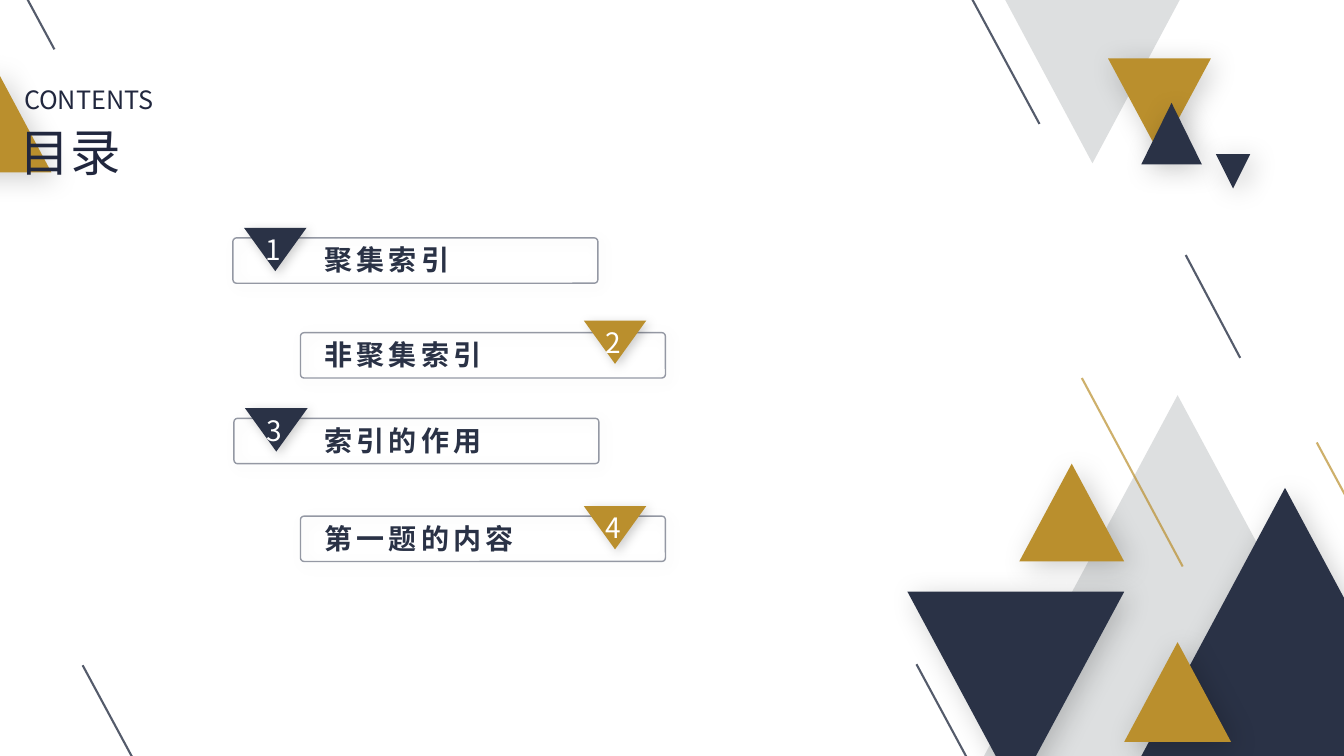
import pptx
import pptx.util
import pptx.dml.color
import pptx.enum.shapes
import pptx.enum.text
import pptx.oxml
import pptx.oxml.ns
import lxml.etree

COLS, ROWS = 1333, 750
FONT = "Noto Sans CJK SC"
NAVY, GOLD, GRAY, INK, EDGE, WHITE = "2A3246", "BA8F2D", "DDDFE0", "21273E", "2C344B", "FFFFFF"

PEAKS = [
    (-60, 67, 111, 104, 0, GOLD),
    (997, 0, 173, 162, 180, GRAY),
    (976, 392, 384, 358, 0, GRAY),
    (1132, 484, 285, 266, 0, NAVY),
    (1011, 460, 104, 97, 0, GOLD),
    (1115, 637, 106, 99, 0, GOLD),
    (1099, 58, 102, 95, 180, GOLD),
    (900, 587, 215, 200, 180, NAVY),
    (1132, 102, 60, 61, 0, NAVY),
    (1206, 153, 34, 34, 180, NAVY),
]
RAYS = [
    (962, -5, 69, 128, NAVY, 80),
    (1073, 375, 100, 187, GOLD, 70),
    (1176, 253, 54, 102, NAVY, 80),
    (1306, 439, 55, 102, GOLD, 70),
    (909, 659, 55, 102, NAVY, 80),
    (82, 660, 55, 102, NAVY, 80),
    (-1, -53, 55, 102, NAVY, 80),
]
HEADS = [("CONTENTS", (14, 79, 183, 40), 18), ("目录", (10, 115, 137, 71), 36)]
ITEMS = [
    ("聚集索引", 231, 236, 10),
    ("非聚集索引", 298, 330, 12),
    ("索引的作用", 232, 415, 10),
    ("第一题的内容", 298, 512, 10),
]
LABEL, BADGE = 312, (62, 43)
INSET = (11, 281)

KIND = pptx.enum.shapes.MSO_SHAPE
ALIGN = pptx.enum.text.PP_ALIGN


def cells(*nums):
    return [pptx.util.Inches(num / 100) for num in nums]


def tint(color, code):
    color.rgb = pptx.dml.color.RGBColor.from_string(code)


def fade(node, share):
    tag = pptx.oxml.ns.qn("a:srgbClr")
    alpha = lxml.etree.SubElement(next(node.iter(tag)), pptx.oxml.ns.qn("a:alpha"))
    alpha.set("val", str(share * 1000))


def stroke(line, code, width, share):
    line.width = pptx.util.Pt(width)
    line.fill.solid()
    tint(line.color, code)
    fade(line._ln, share)


def shade(shape, blur, dist):
    shape.shadow.inherit = False
    glow = shape._element.spPr.find(pptx.oxml.ns.qn("a:effectLst"))
    glow.append(pptx.oxml.parse_xml(
        f'<a:outerShdw {pptx.oxml.ns.nsdecls("a")} blurRad="{blur * 12700}" '
        f'dist="{dist * 12700}" dir="2700000" algn="tl" rotWithShape="0">'
        '<a:srgbClr val="000000"><a:alpha val="20000"/></a:srgbClr></a:outerShdw>'))


def peak(room, spot, turn, code, blur, dist):
    shape = room.add_shape(KIND.ISOSCELES_TRIANGLE, *cells(*spot))
    shape.rotation = turn
    shape.fill.solid()
    tint(shape.fill.fore_color, code)
    shape.line.fill.background()
    if code == GRAY:
        shape.shadow.inherit = False
    else:
        shade(shape, blur, dist)


def write(room, words, spot, size, code, align=None, bold=False, gap=0, wrap=True):
    frame = room.add_textbox(*cells(*spot)).text_frame
    frame.word_wrap = wrap
    frame.auto_size = pptx.enum.text.MSO_AUTO_SIZE.SHAPE_TO_FIT_TEXT
    para = frame.paragraphs[0]
    para.alignment = align
    run = para.add_run()
    run.text = words
    font = run.font
    font.size = pptx.util.Pt(size)
    font.bold = bold
    font.name = FONT
    tint(font.color, code)
    props = run._r.get_or_add_rPr()
    lxml.etree.SubElement(props, pptx.oxml.ns.qn("a:ea")).set("typeface", FONT)
    if gap:
        props.set("spc", str(gap * 100))


def ray(room, left, top, wide, high, code, share):
    ends = cells(left, top, left + wide, top + high)
    line = room.add_connector(pptx.enum.shapes.MSO_CONNECTOR.STRAIGHT, *ends)
    stroke(line.line, code, 1.5, share)
    lxml.etree.SubElement(line._element.spPr, pptx.oxml.ns.qn("a:effectLst"))


def entry(room, index, words, left, top, lift):
    side = index % 2
    group = room.add_group_shape().shapes
    write(group, words, (LABEL, top, 281, 44), 20, NAVY, bold=True, gap=3)
    box = group.add_shape(KIND.ROUNDED_RECTANGLE, *cells(left, top, 362, 45))
    box.adjustments[0] = 0.08
    box.fill.background()
    stroke(box.line, EDGE, 1, 50)
    shade(box, 10, 3)
    mark = left + INSET[side]
    peak(group, (mark, top - lift, *BADGE), 180, (NAVY, GOLD)[side], 8, 3)
    write(group, str(index + 1), (mark + 11, top - lift, 36, 44), 20, WHITE,
          ALIGN.CENTER, wrap=False)


def main():
    deck = pptx.Presentation()
    deck.slide_width, deck.slide_height = cells(COLS, ROWS)
    room = deck.slides.add_slide(deck.slide_layouts[6]).shapes
    for *spot, turn, code in PEAKS:
        peak(room, spot, turn, code, 20, 5)
    for item in RAYS:
        ray(room, *item)
    for words, spot, size in HEADS:
        write(room, words, spot, size, INK, ALIGN.JUSTIFY)
    for index, item in enumerate(ITEMS):
        entry(room, index, *item)
    deck.save("out.pptx")


if __name__ == "__main__":
    main()
